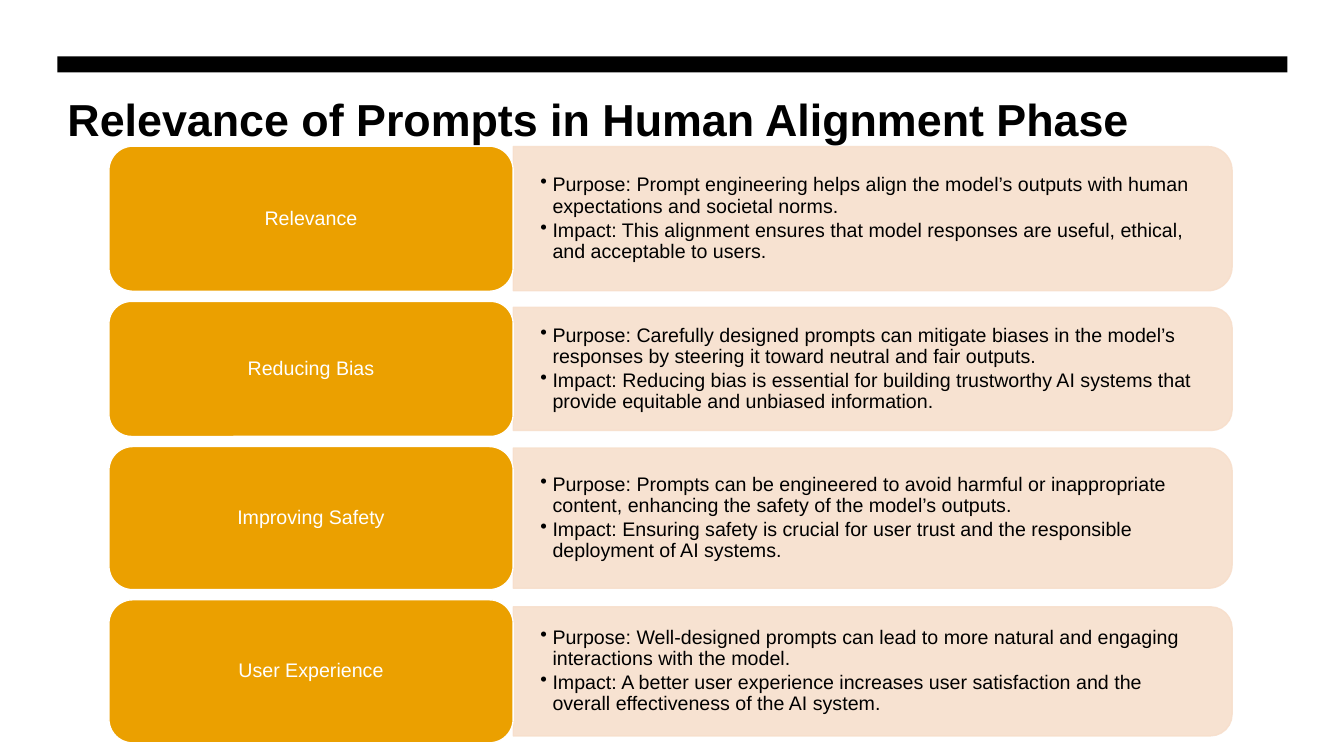
from dataclasses import dataclass

from lxml.etree import SubElement
from pptx import Presentation
from pptx.dml.color import RGBColor
from pptx.dml.fill import FillFormat
from pptx.enum.shapes import MSO_SHAPE as Shape
from pptx.enum.text import MSO_ANCHOR as Anchor, PP_ALIGN as Align
from pptx.oxml.ns import qn
from pptx.shapes.autoshape import Shape as AutoShape
from pptx.slide import Slide
from pptx.text.text import TextFrame, _Paragraph as Paragraph
from pptx.util import Emu, Pt

EMU_PER_PX = 9144  # 100 px to the inch


@dataclass(frozen=True)
class Theme:
    font: str = "Arial"
    black: str = "000000"
    white: str = "FFFFFF"
    card: str = "EBA000"
    panel: str = "F7DFCC"
    panel_opacity: int = 90
    title_pt: int = 32
    body_pt: int = 14
    line_spacing: float = 0.9


@dataclass(frozen=True)
class Topic:
    label: str
    card_h: int
    panel_h: int
    purpose: str
    impact: str


THEME = Theme()
CARD_X, CARD_W = 108, 401
PANEL_X, PANEL_W = 509, 713
FIRST_Y, GAP = 145, 10
BULLET_INDENT = 12

TOPICS = [
    Topic("Relevance", 144, 143,
          "Prompt engineering helps align the model’s outputs with human "
          "expectations and societal norms.",
          "This alignment ensures that model responses are useful, ethical, "
          "and acceptable to users."),
    Topic("Reducing Bias", 134, 122,
          "Carefully designed prompts can mitigate biases in the model’s "
          "responses by steering it toward neutral and fair outputs.",
          "Reducing bias is essential for building trustworthy AI systems that "
          "provide equitable and unbiased information."),
    Topic("Improving Safety", 142, 139,
          "Prompts can be engineered to avoid harmful or inappropriate "
          "content, enhancing the safety of the model’s outputs.",
          "Ensuring safety is crucial for user trust and the responsible "
          "deployment of AI systems."),
    Topic("User Experience", 142, 128,
          "Well-designed prompts can lead to more natural and engaging "
          "interactions with the model.",
          "A better user experience increases user satisfaction and the "
          "overall effectiveness of the AI system."),
]


def px(n: float) -> Emu:
    return Emu(round(n * EMU_PER_PX))


def paint(fill: FillFormat, color: str) -> None:
    fill.solid()
    fill.fore_color.rgb = RGBColor.from_string(color)


def add_block(s: Slide, kind: Shape, x: float, y: float, w: float, h: float,
              fill: str, line: str | None = None) -> AutoShape:
    sp = s.shapes.add_shape(kind, px(x), px(y), px(w), px(h))
    sp.shadow.inherit = False
    paint(sp.fill, fill)
    if line:
        paint(sp.line.fill, line)
        sp.line.width = Pt(1)
    else:
        sp.line.fill.background()
    return sp


def set_opacity(sp: AutoShape, percent: int) -> None:
    """Make fill and outline of a shape partly transparent."""
    for color in sp._element.spPr.iter(qn("a:srgbClr")):
        SubElement(color, qn("a:alpha"), val=str(percent * 1000))


def set_frame(tf: TextFrame, inset_x: int, inset_y: int, anchor: Anchor) -> None:
    tf.word_wrap = True
    tf.vertical_anchor = anchor
    tf.margin_left = tf.margin_right = px(inset_x)
    tf.margin_top = tf.margin_bottom = px(inset_y)


def add_run(p: Paragraph, text: str, size: int, color: str, bold: bool = False) -> None:
    r = p.add_run()
    r.text = text
    r.font.name = THEME.font
    r.font.size = Pt(size)
    r.font.bold = bold
    r.font.color.rgb = RGBColor.from_string(color)


def set_bullet(p: Paragraph) -> None:
    pPr = p._p.get_or_add_pPr()
    pPr.set("marL", str(px(BULLET_INDENT)))
    pPr.set("indent", str(-px(BULLET_INDENT)))
    SubElement(pPr, qn("a:buChar"), char="•")


def add_title(s: Slide, text: str) -> None:
    tf = s.shapes.add_textbox(px(57), px(86), px(1221), px(117)).text_frame
    set_frame(tf, 10, 5, Anchor.TOP)
    add_run(tf.paragraphs[0], text, THEME.title_pt, THEME.black, bold=True)


def add_panel(s: Slide, topic: Topic, center_y: float) -> None:
    """Draw the panel, turned so its round corners face right, and its bullets."""
    x = PANEL_X + (PANEL_W - topic.panel_h) / 2
    sp = add_block(s, Shape.ROUND_2_SAME_RECTANGLE, x, center_y - PANEL_W / 2,
                   topic.panel_h, PANEL_W, THEME.panel, THEME.panel)
    sp.rotation = 90
    set_opacity(sp, THEME.panel_opacity)

    box = s.shapes.add_textbox(px(PANEL_X), px(center_y - topic.panel_h / 2),
                               px(PANEL_W - 6), px(topic.panel_h))
    tf = box.text_frame
    set_frame(tf, 27, 14, Anchor.MIDDLE)
    points = (f"Purpose: {topic.purpose}", f"Impact: {topic.impact}")
    for i, point in enumerate(points):
        p = tf.add_paragraph() if i else tf.paragraphs[0]
        p.line_spacing = THEME.line_spacing
        p.space_after = Pt(2)
        set_bullet(p)
        add_run(p, point, THEME.body_pt, THEME.black)


def add_card(s: Slide, topic: Topic, y: int) -> None:
    sp = add_block(s, Shape.ROUNDED_RECTANGLE, CARD_X, y, CARD_W, topic.card_h,
                   THEME.card, THEME.white)
    set_frame(sp.text_frame, 6, 3, Anchor.MIDDLE)
    p = sp.text_frame.paragraphs[0]
    p.alignment = Align.CENTER
    p.line_spacing = THEME.line_spacing
    add_run(p, topic.label, THEME.body_pt, THEME.white)


def main() -> None:
    prs = Presentation()
    prs.slide_width, prs.slide_height = px(1333), px(750)
    s = prs.slides.add_slide(prs.slide_layouts[6])

    add_block(s, Shape.RECTANGLE, 57, 56, 1220, 16, THEME.black)
    add_title(s, "Relevance of Prompts in Human Alignment Phase")

    y = FIRST_Y
    for topic in TOPICS:
        add_panel(s, topic, y + topic.card_h / 2)
        add_card(s, topic, y)
        y += topic.card_h + GAP

    prs.save("out.pptx")


if __name__ == "__main__":
    main()
